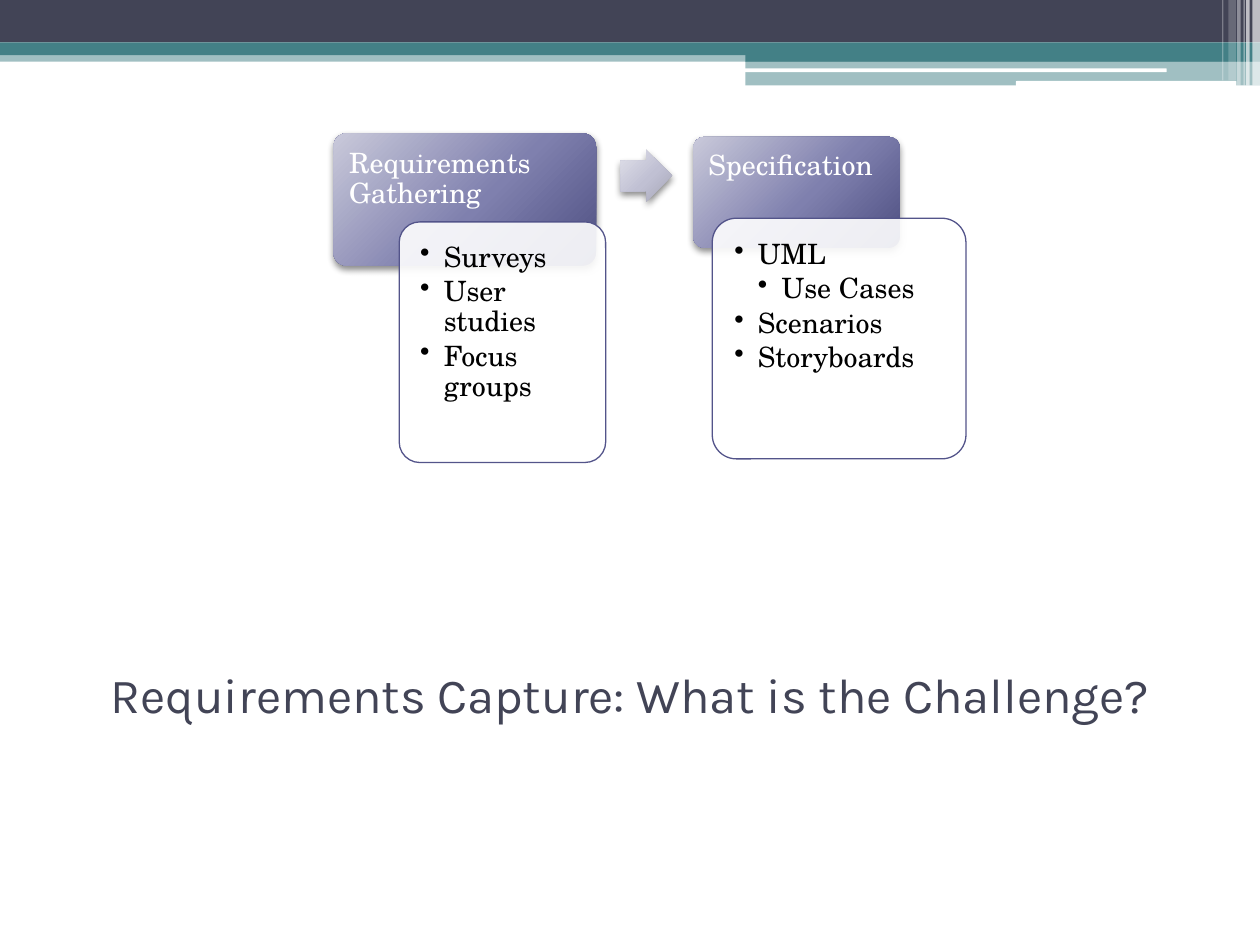
from lxml import etree
from pptx import Presentation
from pptx.dml.color import RGBColor
from pptx.enum.shapes import MSO_SHAPE
from pptx.enum.text import MSO_ANCHOR, PP_ALIGN
from pptx.oxml import parse_xml
from pptx.oxml.ns import nsdecls, qn
from pptx.util import Pt

RECT, ROUNDED = MSO_SHAPE.RECTANGLE, MSO_SHAPE.ROUNDED_RECTANGLE
ARROW = MSO_SHAPE.RIGHT_ARROW
LEFT, CENTER = PP_ALIGN.LEFT, PP_ALIGN.CENTER
TOP, MIDDLE = MSO_ANCHOR.TOP, MSO_ANCHOR.MIDDLE

TITLE = "Requirements Capture: What is the Challenge?"
TITLE_FONT, BODY_FONT = "Karla", "TeX Gyre Schola"
DARK, TEAL, WHITE, BLACK, OUTLINE = "424456", "438086", "FFFFFF", "000000", "53548A"
HEADER_STOPS = [(0, "C9C9DA"), (55, "7F80AE"), (100, "4D4E81")]
ARROW_STOPS = [(0, "E1E1EA"), (55, "C0C0D3"), (100, "A7A7B7")]

# preset, (left, top, width, height), colour, opacity in percent
BANNER = [
    (RECT, (0, 28.8, 720, 6.5), TEAL, 50),
    (RECT, (0, 0, 720, 24.3), DARK, 100),
    (RECT, (0, 24.3, 720, 7.2), TEAL, 100),
    (RECT, (426, 28.1, 294, 7.2), TEAL, 100),
    (RECT, (426, 34.9, 294, 14), TEAL, 50),
    (ROUNDED, (425.5, 39.1, 241.2, 2.2), WHITE, 100),
    (ROUNDED, (580.5, 46.3, 126, 2.9), WHITE, 100),
]
# left, width, height, opacity in percent
STRIPES = [
    (715.7, 4.3, 49, 65), (712.1, 2, 49, 65), (710.6, 0.7, 49, 60),
    (707, 2, 49, 40), (702, 4.3, 46, 20), (698.4, 0.7, 46, 30),
]
# heading, its box, bullet list as (level, text), its box
STAGES = [
    ("Requirements Gathering", (190.6, 76.2, 150, 75.6),
     [(0, "Surveys"), (0, "User studies"), (0, "Focus groups")],
     (228.1, 126.8, 118, 137.5)),
    ("Specification", (396.2, 78.2, 118, 63.4),
     [(0, "UML"), (1, "Use Cases"), (0, "Scenarios"), (0, "Storyboards")],
     (407, 124.7, 145, 137.5)),
]
ARROW_BOX = (354.6, 85.7, 29.5, 29.5)
BULLET_INDENT = 13.5


def rgb(value):
    return RGBColor.from_string(value)


def add_plain(page, preset, box, color=None, opacity=100):
    """Add a shape without line or shadow, filled when a colour is given."""
    shape = page.shapes.add_shape(preset, *map(Pt, box))
    shape.shadow.inherit = False
    shape.line.fill.background()
    if color is None:
        shape.fill.background()
        return shape
    shape.fill.solid()
    shape.fill.fore_color.rgb = rgb(color)
    if opacity < 100:
        paint = shape.fill._xPr.find(qn("a:solidFill"))[0]
        etree.SubElement(paint, qn("a:alpha"), val=str(opacity * 1000))
    return shape


def add_glossy(page, preset, box, stops):
    """Add a shape with a radial gradient and a soft shadow below it."""
    shape = add_plain(page, preset, box)
    properties = shape._element.spPr
    marks = "".join(
        f'<a:gs pos="{place * 1000}"><a:srgbClr val="{color}"/></a:gs>'
        for place, color in stops)
    gradient = parse_xml(
        f'<a:gradFill {nsdecls("a")} rotWithShape="1"><a:gsLst>{marks}</a:gsLst>'
        '<a:path path="circle"><a:fillToRect l="-40000" t="-90000" '
        'r="140000" b="190000"/></a:path></a:gradFill>')
    properties.replace(properties.find(qn("a:noFill")), gradient)
    properties.find(qn("a:effectLst")).append(parse_xml(
        f'<a:outerShdw {nsdecls("a")} blurRad="{Pt(4)}" dist="{Pt(2)}" '
        'dir="5400000" rotWithShape="0"><a:srgbClr val="000000">'
        '<a:alpha val="45000"/></a:srgbClr></a:outerShdw>'))
    return shape


def prepare_frame(shape, bottom):
    frame = shape.text_frame
    frame.word_wrap = True
    frame.vertical_anchor = TOP
    frame.margin_left = frame.margin_right = frame.margin_top = Pt(bottom_free_inset(shape))
    frame.margin_bottom = Pt(bottom)
    return frame


def bottom_free_inset(shape):
    """Keep text 9 pt from the edge of the area inside the rounded corners."""
    return 6.7 if shape.height < Pt(100) else 8.6


def write(para, text, font, size, color, after=0):
    para.space_after = Pt(after)
    span = para.add_run()
    span.text = text
    span.font.name = font
    span.font.size = Pt(size)
    span.font.color.rgb = rgb(color)


def add_bullet(para, level):
    para.level = level
    properties = para._p.get_or_add_pPr()
    properties.set("marL", str(Pt(BULLET_INDENT * (level + 1))))
    properties.set("indent", str(-Pt(BULLET_INDENT)))
    etree.SubElement(properties, qn("a:buChar"), char="•")


def add_stage(page, heading, heading_box, items, list_box):
    header = add_glossy(page, ROUNDED, heading_box, HEADER_STOPS)
    header.adjustments[0] = 0.1
    para = prepare_frame(header, 5).paragraphs[0]
    para.alignment, para.line_spacing = LEFT, 0.9
    write(para, heading, BODY_FONT, 16, WHITE, 5.6)

    card = add_plain(page, ROUNDED, list_box, WHITE, 90)
    card.adjustments[0] = 0.1
    card.line.color.rgb = rgb(OUTLINE)
    card.line.width = Pt(0.75)
    frame = prepare_frame(card, 8.6)
    for index, (level, text) in enumerate(items):
        para = frame.add_paragraph() if index else frame.paragraphs[0]
        para.alignment, para.line_spacing = LEFT, 0.9
        write(para, text, BODY_FONT, 16, BLACK, 2.4)
        add_bullet(para, level)


def main():
    deck = Presentation()
    deck.slide_width, deck.slide_height = Pt(720), Pt(540)
    page = deck.slides.add_slide(deck.slide_layouts[5])

    for preset, box, color, opacity in BANNER:
        add_plain(page, preset, box, color, opacity)
    for left, width, height, opacity in STRIPES:
        add_plain(page, RECT, (left, 0, width, height), WHITE, opacity)

    title = page.shapes.title
    title.left, title.top, title.width, title.height = map(Pt, (36, 354.2, 648, 84.2))
    title.text_frame.vertical_anchor = MIDDLE
    para = title.text_frame.paragraphs[0]
    para.alignment = CENTER
    write(para, TITLE, TITLE_FONT, 28, DARK)

    first, second = STAGES
    add_stage(page, *first)
    arrow = add_glossy(page, ARROW, ARROW_BOX, ARROW_STOPS)
    arrow.adjustments[0], arrow.adjustments[1] = 0.6, 0.5
    arrow.rotation = 359.4
    add_stage(page, *second)

    deck.save("out.pptx")


if __name__ == "__main__":
    main()
